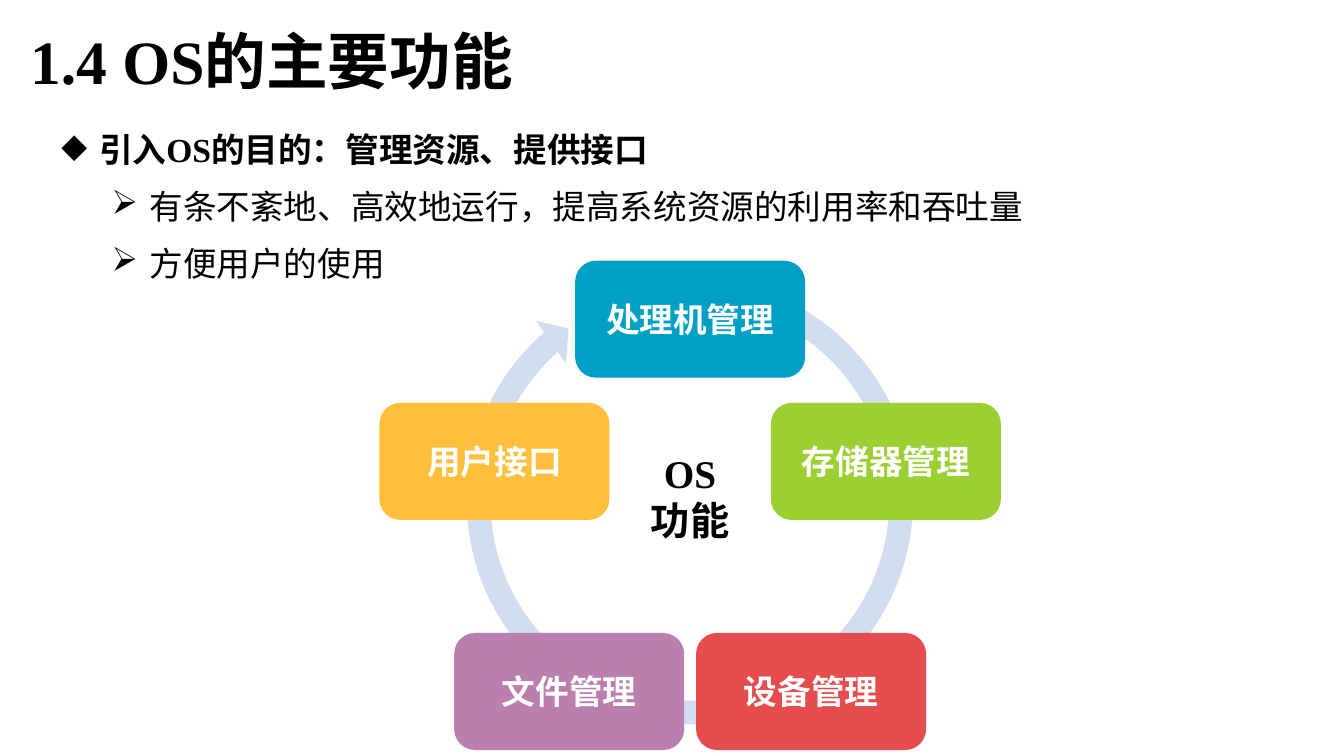
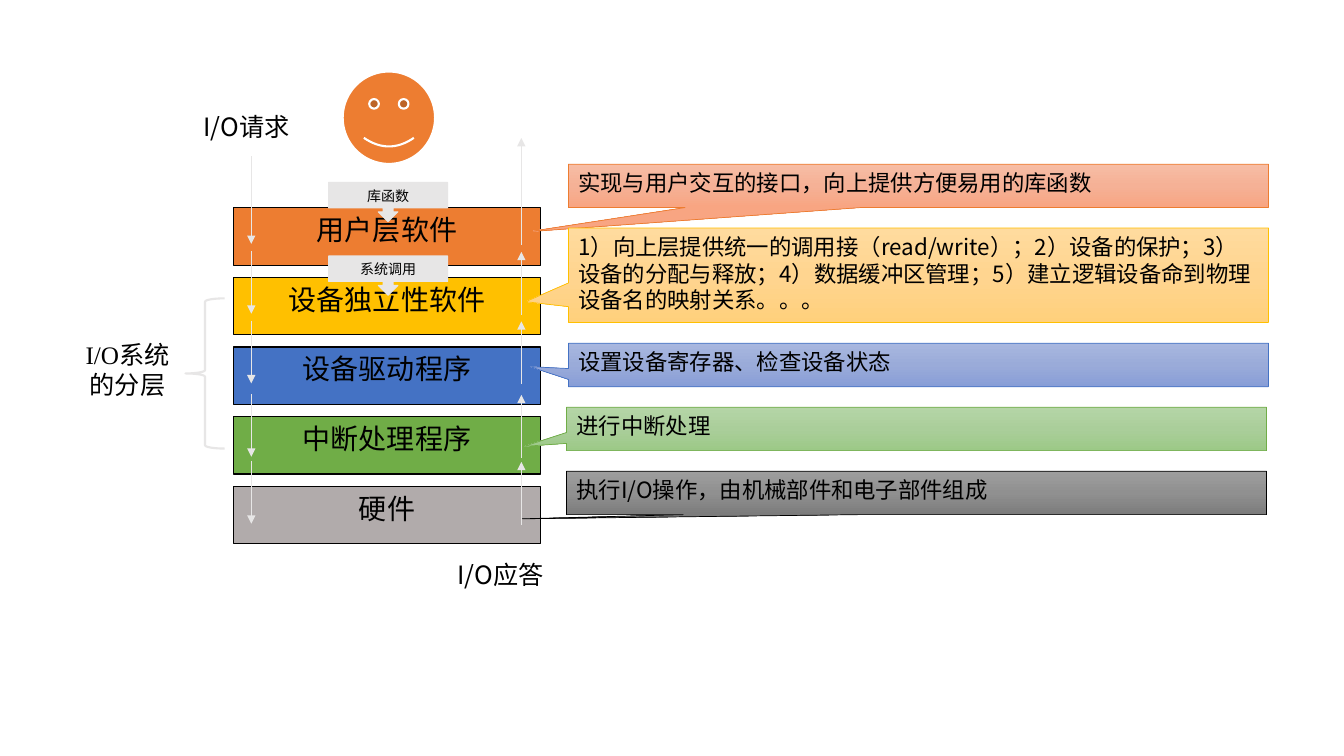
"""Build two slides on operating system functions and I/O software layers."""
from copy import deepcopy
from dataclasses import dataclass
from math import cos, pi, sin

from lxml.etree import SubElement
from pptx import Presentation
from pptx.dml.color import RGBColor
from pptx.enum.shapes import MSO_CONNECTOR, MSO_SHAPE
from pptx.enum.text import MSO_ANCHOR, PP_ALIGN
from pptx.oxml.ns import qn
from pptx.shapes.autoshape import Shape
from pptx.slide import Slide
from pptx.util import Pt

SERIF = "Times New Roman"
SANS = "Noto Sans CJK SC"
BLACK, WHITE, GREY = "000000", "FFFFFF", "E7E6E6"
ORANGE, GOLD, BLUE, GREEN = "ED7D31", "FFC000", "4472C4", "70AD47"


@dataclass(frozen=True)
class Bounds:
    left: float
    top: float
    width: float
    height: float


@dataclass(frozen=True)
class Node:
    label: str
    fill: str


@dataclass(frozen=True)
class Bullet:
    text: str
    mark: str
    level: int
    margin: float
    spacing: float
    bold: bool


@dataclass(frozen=True)
class Callout:
    text: str
    bounds: Bounds
    pointer: tuple[float, float]
    shades: tuple[str, str, str]
    line: str


NODES = (
    Node("处理机管理", "009FC6"),
    Node("存储器管理", "9CCF32"),
    Node("设备管理", "E54C4E"),
    Node("文件管理", "BA7FAF"),
    Node("用户接口", "FEBF3C"),
)

BULLETS = (
    Bullet("引入OS的目的：管理资源、提供接口", "◆", 1, 63, 1.5, True),
    Bullet("有条不紊地、高效地运行，提高系统资源的利用率和吞吐量", "➢", 2, 99, 1, False),
    Bullet("方便用户的使用", "➢", 2, 99, 1, False),
)

LAYERS = (
    Node("用户层软件", ORANGE),
    Node("设备独立性软件", GOLD),
    Node("设备驱动程序", BLUE),
    Node("中断处理程序", GREEN),
    Node("硬件", "B1ABAB"),
)

CALLOUTS = (
    Callout("实现与用户交互的接口，向上提供方便易用的库函数",
            Bounds(406, 117.3, 500, 31), (-0.557, 1.056),
            ("F7BDA5", "F5B196", "F8A582"), ORANGE),
    Callout("1）向上层提供统一的调用接（read/write）；2）设备的保护；"
            "3）设备的分配与释放；4）数据缓冲区管理；"
            "5）建立逻辑设备命到物理设备名的映射关系。。。",
            Bounds(406, 162.8, 500, 67.5), (-0.561, 0.281),
            ("FFDB9E", "FFD590", "FFD07C"), GOLD),
    Callout("设置设备寄存器、检查设备状态",
            Bounds(406, 245.2, 500, 31), (-0.555, 0.04),
            ("A8B7DF", "9AABD9", "889ED7"), BLUE),
    Callout("进行中断处理",
            Bounds(404.7, 290.9, 500, 31), (-0.561, 0.403),
            ("B5D5A7", "AACE9A", "9CC987"), GREEN),
    Callout("执行I/O操作，由机械部件和电子部件组成",
            Bounds(404.7, 336.6, 500, 31), (-0.563, 0.596),
            ("9D9D9D", "909090", "7C7C7C"), BLACK),
)


def rgb(colour: str) -> RGBColor:
    return RGBColor.from_string(colour)


def add_box(page: Slide, bounds: Bounds, anchor: MSO_ANCHOR = MSO_ANCHOR.TOP) -> Shape:
    box = page.shapes.add_textbox(
        Pt(bounds.left), Pt(bounds.top), Pt(bounds.width), Pt(bounds.height))
    box.text_frame.word_wrap = True
    box.text_frame.vertical_anchor = anchor
    return box


def add_figure(page: Slide, kind: MSO_SHAPE, bounds: Bounds, *, fill: str | None = None,
               line: str | None = None, weight: float = 0.75,
               anchor: MSO_ANCHOR = MSO_ANCHOR.TOP) -> Shape:
    figure = page.shapes.add_shape(
        kind, Pt(bounds.left), Pt(bounds.top), Pt(bounds.width), Pt(bounds.height))
    figure.shadow.inherit = False
    figure.text_frame.vertical_anchor = anchor
    if fill:
        figure.fill.solid()
        figure.fill.fore_color.rgb = rgb(fill)
    else:
        figure.fill.background()
    if line:
        figure.line.color.rgb = rgb(line)
        figure.line.width = Pt(weight)
    else:
        figure.line.fill.background()
    return figure


def add_text(box: Shape, text: str, *, size: float, font: str = SANS, colour: str = BLACK,
             bold: bool = False, align: PP_ALIGN = PP_ALIGN.LEFT,
             spacing: float = 1, before: float = 0, after: float = 0,
             mark: str = "", level: int = 0, margin: float = 0) -> None:
    frame = box.text_frame
    paragraph = frame.add_paragraph() if frame.text else frame.paragraphs[0]
    paragraph.alignment = align
    paragraph.line_spacing = spacing
    paragraph.space_before = Pt(before)
    paragraph.space_after = Pt(after)
    paragraph.level = level
    if mark:
        properties = paragraph._p.get_or_add_pPr()
        properties.set("marL", str(Pt(margin)))
        properties.set("indent", str(Pt(-27)))
        SubElement(properties, qn("a:buChar"), char=mark)
    span = paragraph.add_run()
    span.text = text
    span.font.name = font
    span.font.size = Pt(size)
    span.font.bold = bold
    span.font.color.rgb = rgb(colour)
    SubElement(span._r.get_or_add_rPr(), qn("a:ea"), typeface=SANS)


def add_arrow(page: Slide, x: float, start: float, end: float) -> None:
    arrow = page.shapes.add_connector(
        MSO_CONNECTOR.STRAIGHT, Pt(x), Pt(start), Pt(x), Pt(end))
    arrow.line.color.rgb = rgb(GREY)
    arrow.line.width = Pt(0.75)
    SubElement(arrow.line._get_or_add_ln(), qn("a:tailEnd"), type="triangle")
    SubElement(arrow._element.spPr, qn("a:effectLst"))


def shade(figure: Shape, colours: tuple[str, str, str]) -> None:
    figure.fill.gradient()
    figure.fill.gradient_angle = 270
    stops = figure._element.spPr.find(qn("a:gradFill")).find(qn("a:gsLst"))
    stops.insert(1, deepcopy(stops[0]))
    for index, (stop, colour) in enumerate(zip(figure.fill.gradient_stops, colours)):
        stop.position = index / 2
        stop.color.rgb = rgb(colour)


def add_callout(page: Slide, callout: Callout) -> None:
    figure = add_figure(page, MSO_SHAPE.RECTANGULAR_CALLOUT, callout.bounds,
                        line=callout.line, weight=0.5)
    shade(figure, callout.shades)
    for index, value in enumerate(callout.pointer):
        figure.adjustments[index] = value
    add_text(figure, callout.text, size=16)


def draw_cycle(page: Slide) -> None:
    ring = add_figure(page, MSO_SHAPE.CIRCULAR_ARROW, Bounds(323.3, 188.6, 339, 339),
                      fill="D2DEEF")
    for index, value in enumerate((0.05, 3.6, 137.336, 173.49, 0.055)):
        ring.adjustments[index] = value
    center_x, center_y, radius = 493, 375, 147
    width, height = 161.3, 80.6
    for index, node in enumerate(NODES):
        angle = 2 * pi * index / len(NODES)
        left = center_x + radius * sin(angle) - width / 2
        top = center_y - radius * cos(angle) - height / 2
        box = add_figure(page, MSO_SHAPE.ROUNDED_RECTANGLE, Bounds(left, top, width, height),
                         fill=node.fill, line=node.fill, weight=3, anchor=MSO_ANCHOR.MIDDLE)
        add_text(box, node.label, size=24, font=SERIF, colour=WHITE, bold=True,
                 align=PP_ALIGN.CENTER)
    center = add_box(page, Bounds(428.4, 317.5, 129, 75))
    for label in ("OS", "功能"):
        add_text(center, label, size=28, font=SERIF, bold=True, align=PP_ALIGN.CENTER)


def draw_functions(page: Slide) -> None:
    title = add_box(page, Bounds(14.4, 2.9, 800, 86.4), MSO_ANCHOR.MIDDLE)
    add_text(title, "1.4 OS的主要功能", size=44, font=SERIF, bold=True, spacing=0.9)
    body = add_box(page, Bounds(0.7, 74.2, 908, 133))
    for index, bullet in enumerate(BULLETS):
        add_text(body, bullet.text, size=24, font=SERIF, bold=bullet.bold,
                 spacing=bullet.spacing, before=6 if index else 0, after=6,
                 mark=bullet.mark, level=bullet.level, margin=bullet.margin)
    draw_cycle(page)


def draw_layers(page: Slide) -> None:
    add_figure(page, MSO_SHAPE.LEFT_BRACE, Bounds(132.5, 213.1, 28, 107.3),
               line=GREY, weight=1.5)
    for index, layer in enumerate(LAYERS):
        box = add_figure(page, MSO_SHAPE.RECTANGLE,
                         Bounds(167, 148.4 + 49.75 * index, 219, 41),
                         fill=layer.fill, line=BLACK)
        add_text(box, layer.label, size=20, align=PP_ALIGN.CENTER)
    for label, top in (("库函数", 130.3), ("系统调用", 182.9)):
        box = add_figure(page, MSO_SHAPE.DOWN_ARROW_CALLOUT, Bounds(234.7, top, 85, 28),
                         fill=GREY, line=GREY)
        add_text(box, label, size=10, align=PP_ALIGN.CENTER)

    request_x, reply_x, length = 179.5, 372.4, 44.8
    add_arrow(page, request_x, 111.6, 174.2)
    add_arrow(page, reply_x, 175, 98.6)
    for start in (179.3, 229, 281.5, 329.3):
        add_arrow(page, request_x, start, start + length)
        add_arrow(page, reply_x, start + length + 0.6, start + 0.6)

    for label, left, top in (("I/O请求", 138.2, 75.6), ("I/O应答", 319.7, 396)):
        add_text(add_box(page, Bounds(left, top, 95, 29)), label, size=18)
    add_figure(page, MSO_SHAPE.SMILEY_FACE, Bounds(244.8, 51.1, 66, 66),
               fill=ORANGE, line=WHITE, weight=1.5)
    add_text(add_box(page, Bounds(49, 239, 84.2, 63.4)), "I/O系统的分层", size=18,
             font=SERIF, align=PP_ALIGN.CENTER)
    for callout in CALLOUTS:
        add_callout(page, callout)


def main() -> None:
    deck = Presentation()
    deck.slide_width, deck.slide_height = Pt(960), Pt(540)
    for draw in (draw_functions, draw_layers):
        draw(deck.slides.add_slide(deck.slide_layouts[6]))
    deck.save("out.pptx")


if __name__ == "__main__":
    main()
